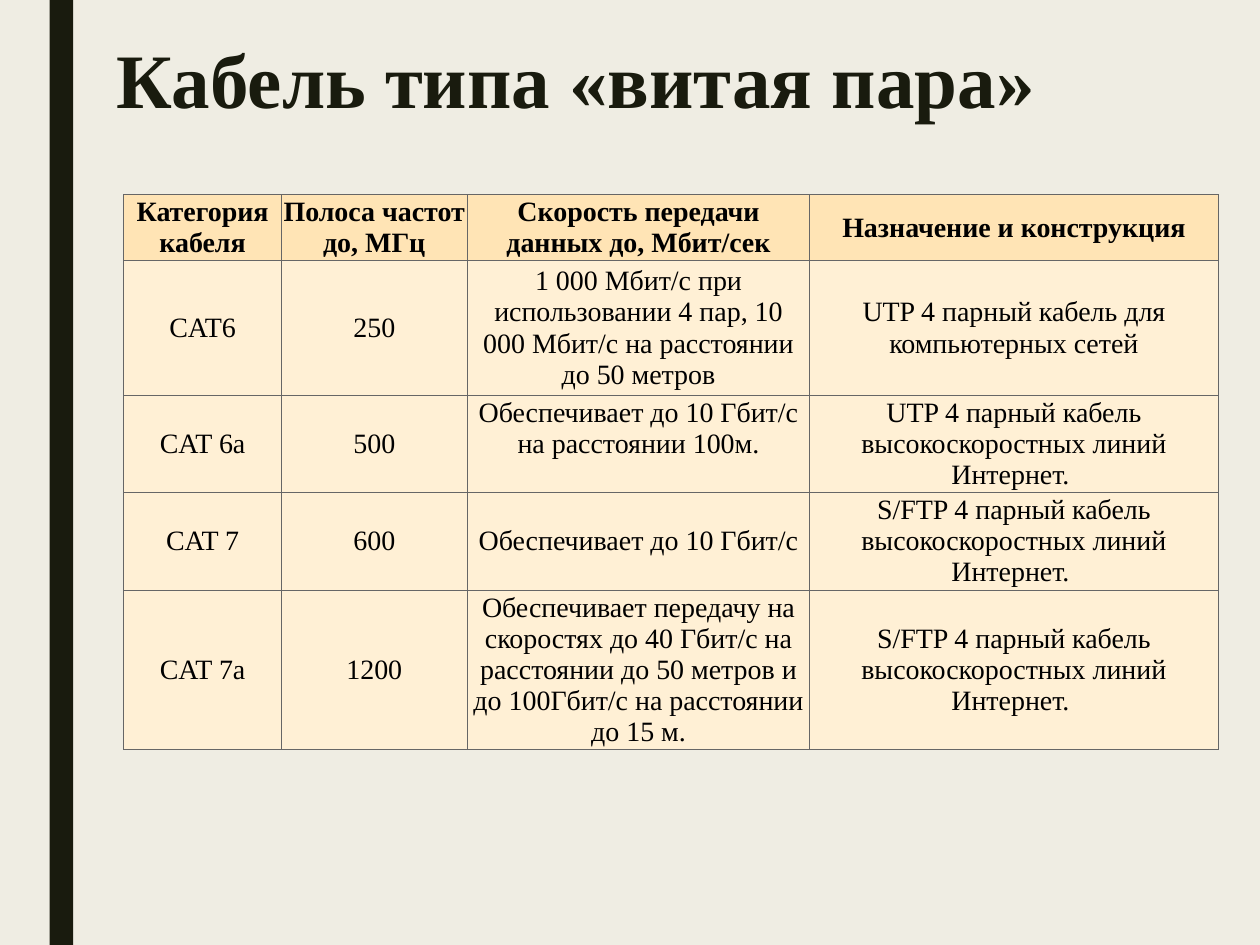
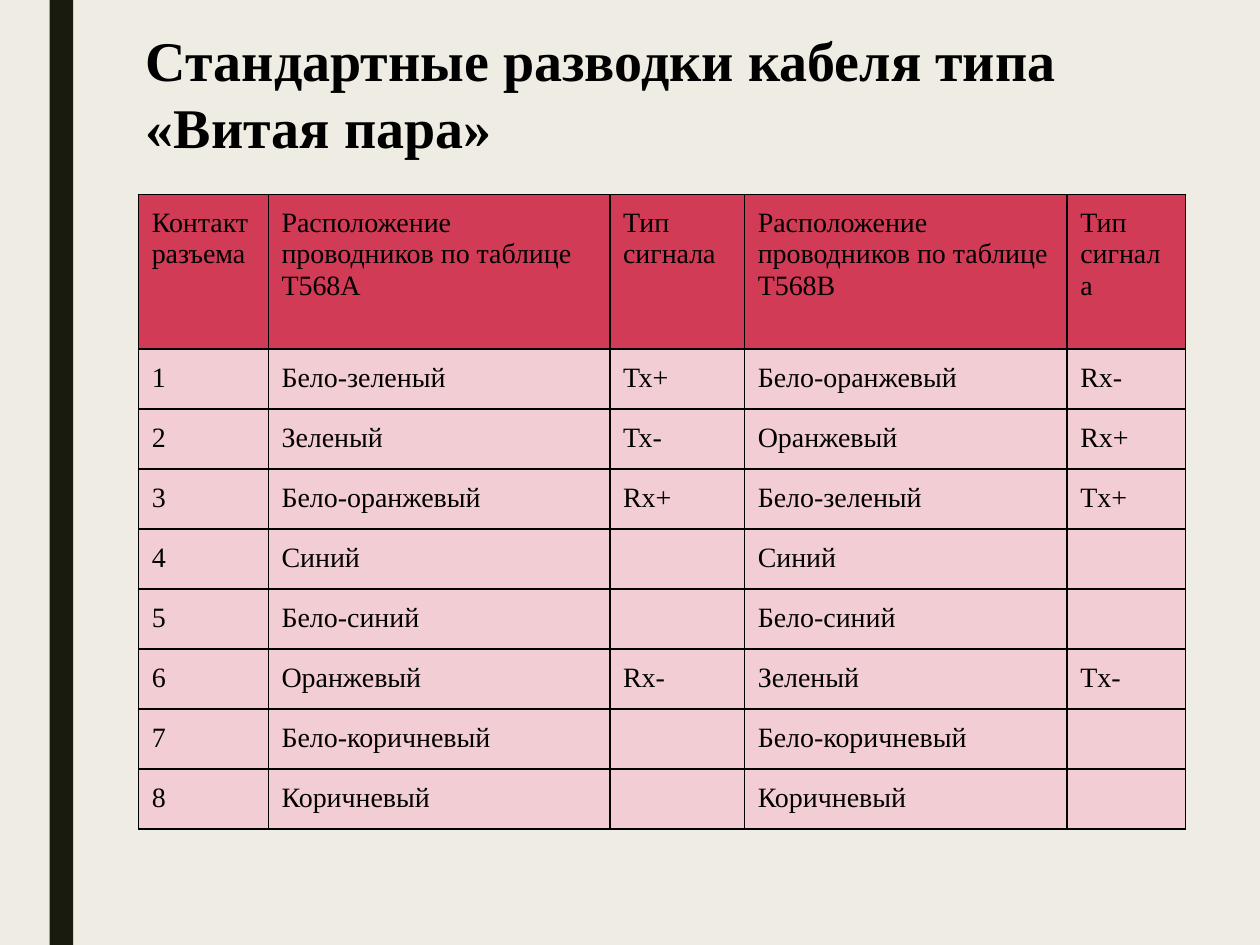
from dataclasses import dataclass

from lxml import etree
from pptx import Presentation
from pptx import util as u
from pptx.dml.color import RGBColor as Rgb
from pptx.enum import shapes, text
from pptx.oxml.ns import qn


@dataclass(frozen=True)
class Theme:
    """Colours, font and type sizes shared by the slides."""
    back: str = "EFEDE3"
    dark: str = "191B0E"
    ink: str = "000000"
    font: str = "Times New Roman"
    big: int = 44
    mid: int = 32
    body: int = 16


@dataclass(frozen=True)
class Look:
    """Colours, rule width and text setting of one table."""
    head: str
    body: str
    rule: str
    width: float
    inset: float
    align: text.PP_ALIGN
    anchor: text.MSO_ANCHOR
    bold: bool


TH = Theme()
COLS, ROWS = 100, 75
UNIT = u.Inches(0.1)

CREAM = Look("FFE4B5", "FFF0D5", "666666", 0.75, 0.15,
             text.PP_ALIGN.CENTER, text.MSO_ANCHOR.MIDDLE, True)
ROSE = Look("D13B56", "F3CDD4", "000000", 1, 1.05,
            text.PP_ALIGN.LEFT, text.MSO_ANCHOR.TOP, False)

LINE = "парный кабель высокоскоростных линий Интернет. "
CABLES = [
    ("Категория кабеля", "Полоса частот до, МГц",
     "Скорость передачи данных до, Мбит/сек", "Назначение и конструкция"),
    ("CAT6", "250",
     "1 000 Мбит/с при использовании 4 пар, 10 000 Мбит/с на расстоянии до 50 метров",
     "UTP 4 парный кабель для компьютерных сетей"),
    ("CAT 6a", "500", "Обеспечивает до 10 Гбит/с на расстоянии 100м.",
     f"UTP 4 {LINE}"),
    ("CAT 7", "600", "Обеспечивает до 10 Гбит/с", f"S/FTP 4 {LINE}"),
    ("CAT 7а", "1200",
     "Обеспечивает передачу на скоростях до 40 Гбит/с на расстоянии "
     "до 50 метров и до 100Гбит/с на расстоянии до 15 м.",
     f"S/FTP 4 {LINE}"),
]

PLACE = "Расположение проводников по таблице"
PINS = [
    ("Контакт разъема", f"{PLACE} Т568А", "Тип сигнала",
     f"{PLACE} Т568В", "Тип сигнала"),
    ("1", "Бело-зеленый", "Тх+", "Бело-оранжевый", "Rx-"),
    ("2", "Зеленый", "Тх-", "Оранжевый", "Rx+"),
    ("3", "Бело-оранжевый", "Rx+", "Бело-зеленый", "Tx+"),
    ("4", "Синий", "", "Синий", ""),
    ("5", "Бело-синий", "", "Бело-синий", ""),
    ("6", "Оранжевый", "Rx-", "Зеленый", "Tx-"),
    ("7", "Бело-коричневый", "", "Бело-коричневый", ""),
    ("8", "Коричневый", "", "Коричневый", ""),
]


def span(n):
    """Turn grid steps into a length."""
    return u.Emu(round(n * UNIT))


def paint(fill, color):
    """Give a fill one solid colour."""
    fill.solid()
    fill.fore_color.rgb = Rgb.from_string(color)


def write(para, words, size, color, bold):
    """Add one styled run to a paragraph."""
    run = para.add_run()
    run.text = words
    font = run.font
    font.name, font.size, font.bold = TH.font, u.Pt(size), bold
    font.color.rgb = Rgb.from_string(color)


def frame(cell, look):
    """Rule all four sides of a cell."""
    props = cell._tc.get_or_add_tcPr()
    for side in "LRTB":
        line = etree.SubElement(props, qn(f"a:ln{side}"), w=str(u.Pt(look.width)))
        solid = etree.SubElement(line, qn("a:solidFill"))
        etree.SubElement(solid, qn("a:srgbClr"), val=look.rule)


def base(deck):
    """Add a slide with the shared background and side band."""
    slide = deck.slides.add_slide(deck.slide_layouts[6])
    paint(slide.background.fill, TH.back)
    band = slide.shapes.add_shape(shapes.MSO_SHAPE.RECTANGLE, span(3.93), 0,
                                  span(1.87), span(ROWS))
    band.shadow.inherit = False
    paint(band.fill, TH.dark)
    band.line.fill.background()
    return slide


def title(slide, box, words, size, color, lead):
    """Place a bold heading in its box."""
    body = slide.shapes.add_textbox(*map(span, box)).text_frame
    body.word_wrap = True
    body.vertical_anchor = text.MSO_ANCHOR.TOP
    para = body.paragraphs[0]
    para.line_spacing = lead
    write(para, words, size, color, True)


def grid(slide, spot, wide, high, data, look):
    """Place a ruled table at a spot and return it."""
    left, top = spot
    table = slide.shapes.add_table(len(high), len(wide), span(left), span(top),
                                   span(sum(wide)), span(sum(high))).table
    table.first_row = table.horz_banding = False
    for col, n in zip(table.columns, wide):
        col.width = span(n)
    for y, (row, n) in enumerate(zip(table.rows, high)):
        row.height = span(n)
        for cell, words in zip(row.cells, data[y]):
            frame(cell, look)
            paint(cell.fill, look.body if y else look.head)
            cell.vertical_anchor = look.anchor
            pad(cell, look.inset if words else 0.1)
            if words:
                para = cell.text_frame.paragraphs[0]
                para.alignment = look.align
                write(para, words, TH.body, TH.ink, look.bold and not y)
    return table


def pad(cell, inset):
    """Set equal insets on a cell."""
    cell.margin_left = cell.margin_right = span(inset)
    cell.margin_top = cell.margin_bottom = span(inset)


def cables(deck):
    """Build the slide of cable categories."""
    slide = base(deck)
    table = grid(slide, (9.83, 15.45), (12.5, 14.75, 27.2, 32.4),
                 (5.2, 10.7, 7.7, 7.75, 12.6), CABLES, CREAM)
    for cell in table.rows[1].cells:
        pad(cell, 0.4)
    table.cell(2, 2).margin_bottom = span(2.6)
    title(slide, (8.3, 2.9, 78.8, 8.4), "Кабель типа «витая пара»",
          TH.big, TH.dark, 0.89)


def pins(deck):
    """Build the slide of standard pinouts."""
    slide = base(deck)
    grid(slide, (11, 15.45), (10.3, 27.1, 10.7, 25.6, 9.4),
         [12.25] + [4.65] * 8, PINS, ROSE)
    title(slide, (10.6, 1.5, 83.1, 11.8),
          "Стандартные разводки кабеля типа «Витая пара»",
          TH.mid, TH.ink, 1.0)


def main():
    """Build and save the deck."""
    deck = Presentation()
    deck.slide_width, deck.slide_height = span(COLS), span(ROWS)
    cables(deck)
    pins(deck)
    deck.save("out.pptx")


if __name__ == "__main__":
    main()
